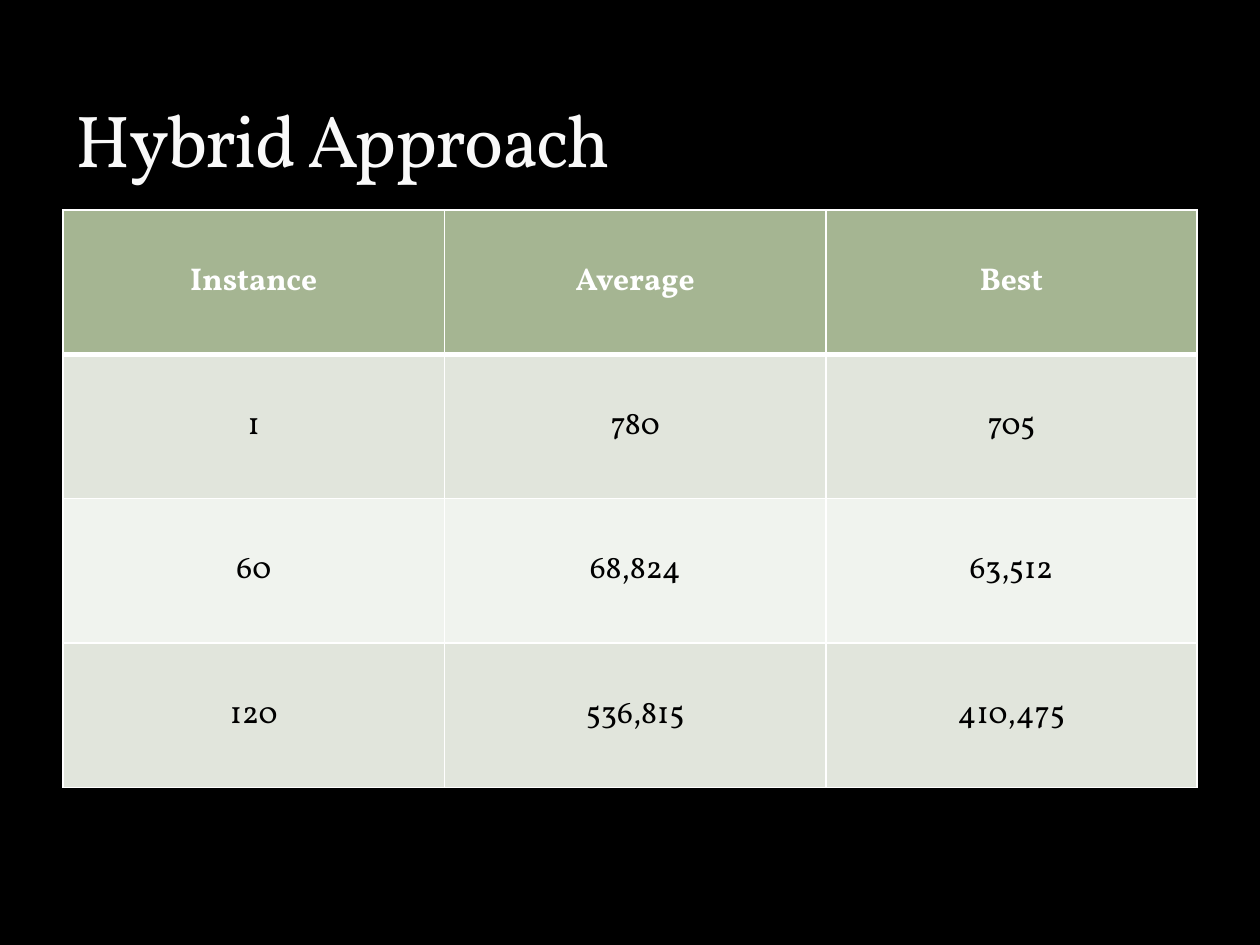
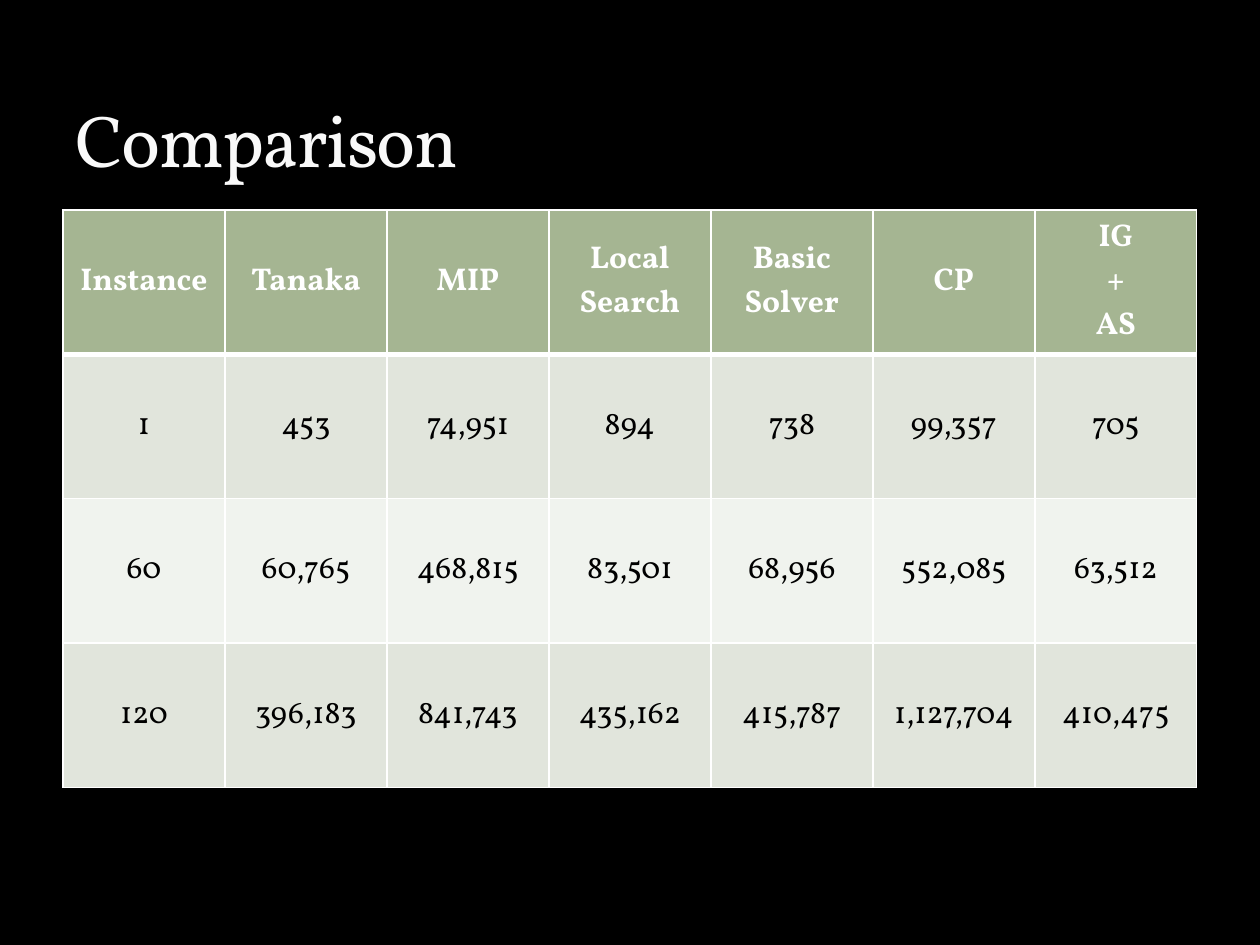
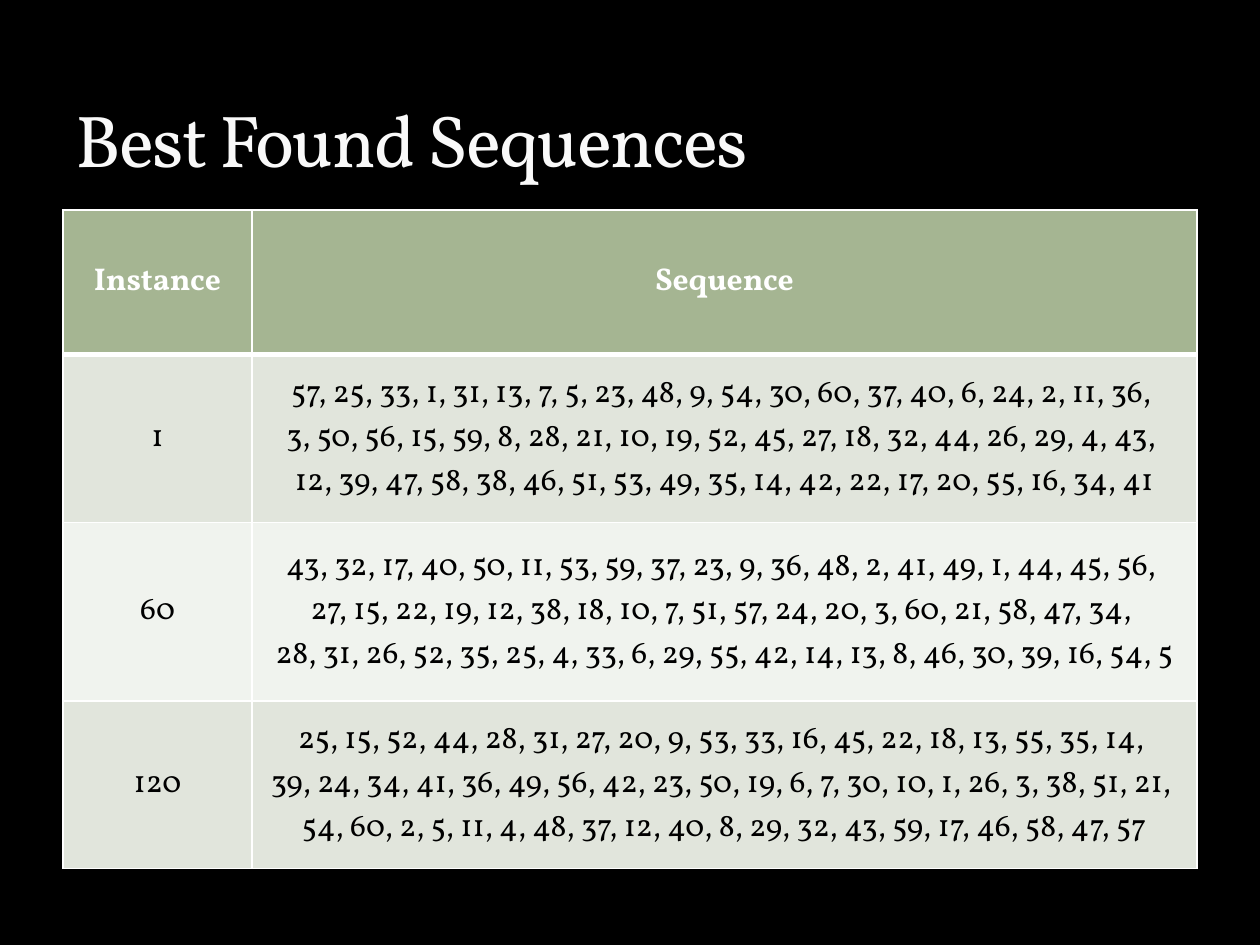
from dataclasses import dataclass

from lxml.etree import SubElement
from pptx import Presentation
from pptx.dml.color import RGBColor
from pptx.enum.text import MSO_ANCHOR, MSO_AUTO_SIZE, PP_ALIGN
from pptx.oxml.ns import qn
from pptx.util import Pt


@dataclass(frozen=True)
class Theme:
    font: str = "Vollkorn"
    background: str = "000000"
    title: str = "F9F9F9"
    header_text: str = "FFFFFF"
    body_text: str = "000000"
    header_fill: str = "A5B592"
    bands: tuple = ("E1E5DC", "F0F3EE")
    border: str = "FFFFFF"
    title_size: int = 42
    table_size: int = 18
    thin: int = 1
    thick: int = 3


THEME = Theme()
TITLE_BOX = (36, 12, 648, 96)
TABLE_LEFT, TABLE_TOP = 36, 120
ROW_HEIGHT = 82.5

SLIDES = [
    {
        "title": "Hybrid Approach",
        "columns": [218, 218, 212],
        "heights": [ROW_HEIGHT] * 4,
        "rows": [
            ["Instance", "Average", "Best"],
            ["1", "780", "705"],
            ["60", "68,824", "63,512"],
            ["120", "536,815", "410,475"],
        ],
    },
    {
        "title": "Comparison",
        "columns": [648 / 7] * 7,
        "heights": [ROW_HEIGHT] * 4,
        "rows": [
            ["Instance", "Tanaka", "MIP", "Local Search", "Basic Solver", "CP", "IG\n+\nAS"],
            ["1", "453", "74,951", "894", "738", "99,357", "705"],
            ["60", "60,765", "468,815", "83,501", "68,956", "552,085", "63,512"],
            ["120", "396,183", "841,743", "435,162", "415,787", "1,127,704", "410,475"],
        ],
    },
    {
        "title": "Best Found Sequences",
        "columns": [108, 540],
        "heights": [ROW_HEIGHT, 96, 102, 96],
        "rows": [
            ["Instance", "Sequence"],
            ["1",
             "57, 25, 33, 1, 31, 13, 7, 5, 23, 48, 9, 54, 30, 60, 37, 40, 6, 24, 2, 11, 36, \n"
             "3, 50, 56, 15, 59, 8, 28, 21, 10, 19, 52, 45, 27, 18, 32, 44, 26, 29, 4, 43, \n"
             "12, 39, 47, 58, 38, 46, 51, 53, 49, 35, 14, 42, 22, 17, 20, 55, 16, 34, 41"],
            ["60",
             "43, 32, 17, 40, 50, 11, 53, 59, 37, 23, 9, 36, 48, 2, 41, 49, 1, 44, 45, 56, \n"
             "27, 15, 22, 19, 12, 38, 18, 10, 7, 51, 57, 24, 20, 3, 60, 21, 58, 47, 34, \n"
             "28, 31, 26, 52, 35, 25, 4, 33, 6, 29, 55, 42, 14, 13, 8, 46, 30, 39, 16, 54, 5"],
            ["120",
             "25, 15, 52, 44, 28, 31, 27, 20, 9, 53, 33, 16, 45, 22, 18, 13, 55, 35, 14, \n"
             "39, 24, 34, 41, 36, 49, 56, 42, 23, 50, 19, 6, 7, 30, 10, 1, 26, 3, 38, 51, 21, \n"
             "54, 60, 2, 5, 11, 4, 48, 37, 12, 40, 8, 29, 32, 43, 59, 17, 46, 58, 47, 57"],
        ],
    },
]


def add_run(p, text, size, color, bold=False):
    r = p.add_run()
    r.text = text
    r.font.name = THEME.font
    r.font.size = Pt(size)
    r.font.bold = bold
    r.font.color.rgb = RGBColor.from_string(color)
    return r


def set_title(s, text):
    sp = s.shapes.title
    sp.left, sp.top, sp.width, sp.height = map(Pt, TITLE_BOX)
    tf = sp.text_frame
    tf.auto_size = MSO_AUTO_SIZE.NONE
    tf.vertical_anchor = MSO_ANCHOR.BOTTOM
    p = tf.paragraphs[0]
    p.alignment = PP_ALIGN.LEFT
    r = add_run(p, text, THEME.title_size, THEME.title)
    r.font._element.set("spc", "-100")


def set_borders(cell, row):
    widths = {
        "a:lnL": THEME.thin,
        "a:lnR": THEME.thin,
        "a:lnT": THEME.thick if row == 1 else THEME.thin,
        "a:lnB": THEME.thick if row == 0 else THEME.thin,
    }
    props = cell._tc.get_or_add_tcPr()
    for tag, width in widths.items():
        line = SubElement(props, qn(tag), w=str(Pt(width)))
        fill = SubElement(line, qn("a:solidFill"))
        SubElement(fill, qn("a:srgbClr"), val=THEME.border)


def fill_cell(cell, text, row):
    header = row == 0
    set_borders(cell, row)
    cell.fill.solid()
    fill = THEME.header_fill if header else THEME.bands[(row - 1) % 2]
    cell.fill.fore_color.rgb = RGBColor.from_string(fill)
    cell.vertical_anchor = MSO_ANCHOR.MIDDLE
    tf = cell.text_frame
    color = THEME.header_text if header else THEME.body_text
    for i, line in enumerate(text.split("\n")):
        p = tf.add_paragraph() if i else tf.paragraphs[0]
        p.alignment = PP_ALIGN.CENTER
        add_run(p, line, THEME.table_size, color, header)


def add_grid(s, columns, heights, rows):
    box = (TABLE_LEFT, TABLE_TOP, sum(columns), sum(heights))
    table = s.shapes.add_table(len(rows), len(columns), *map(Pt, box)).table
    for column, width in zip(table.columns, columns):
        column.width = Pt(width)
    for i, (height, texts) in enumerate(zip(heights, rows)):
        table.rows[i].height = Pt(height)
        for j, text in enumerate(texts):
            fill_cell(table.cell(i, j), text, i)


def main():
    prs = Presentation()
    prs.slide_width, prs.slide_height = Pt(720), Pt(540)
    background = prs.slide_master.background.fill
    background.solid()
    background.fore_color.rgb = RGBColor.from_string(THEME.background)
    for content in SLIDES:
        s = prs.slides.add_slide(prs.slide_layouts[5])
        set_title(s, content["title"])
        add_grid(s, content["columns"], content["heights"], content["rows"])
    prs.save("out.pptx")


if __name__ == "__main__":
    main()
